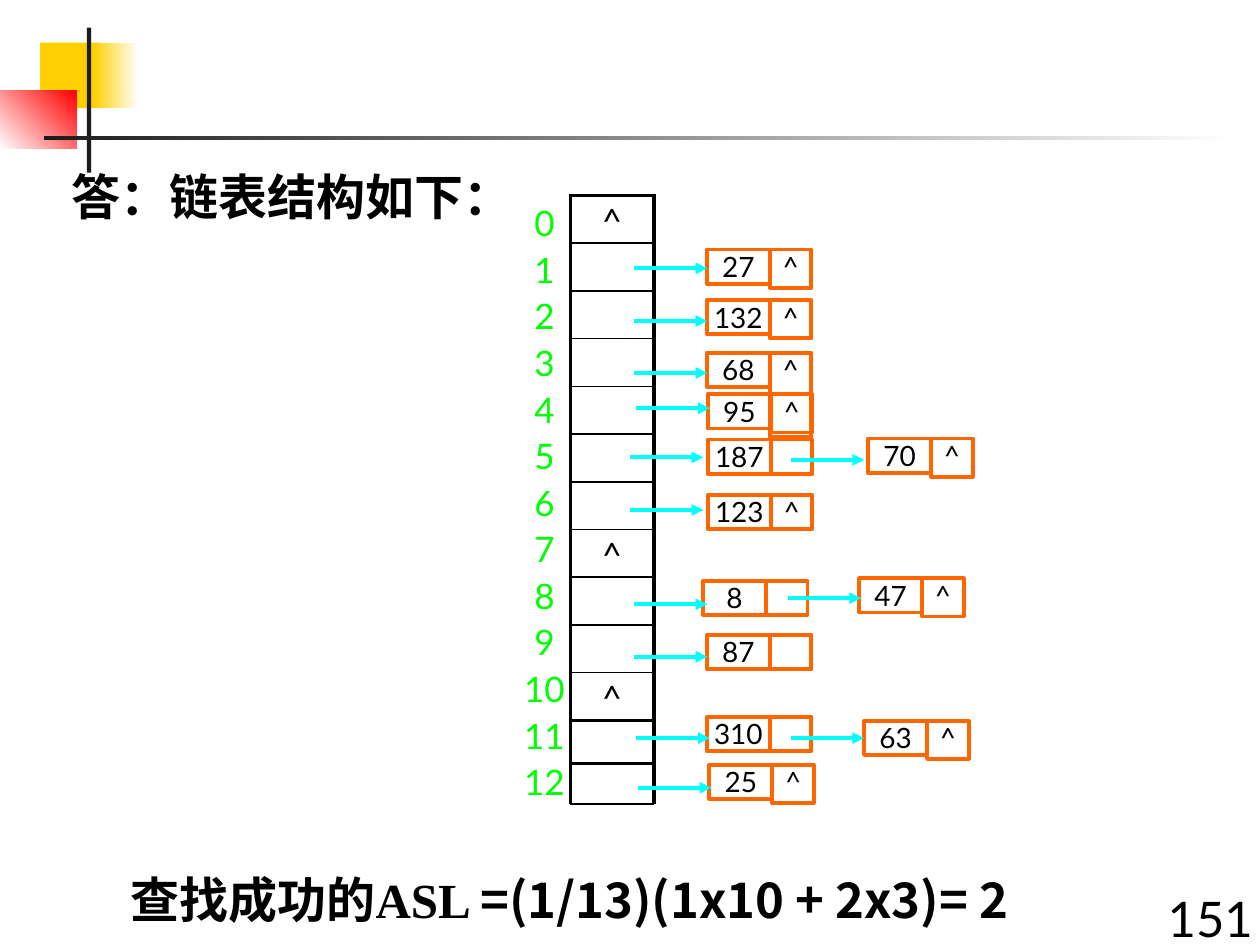
"""Build the slide showing a chained hash table and its average search length."""
import lxml.etree
import pptx
import pptx.dml.color
import pptx.enum.shapes
import pptx.enum.text
import pptx.oxml.ns
import pptx.util

Cm, Pt = pptx.util.Cm, pptx.util.Pt
RECTANGLE = pptx.enum.shapes.MSO_SHAPE.RECTANGLE
CENTER = pptx.enum.text.PP_ALIGN.CENTER
LEFT = pptx.enum.text.PP_ALIGN.LEFT
TOP = pptx.enum.text.MSO_ANCHOR.TOP
MIDDLE = pptx.enum.text.MSO_ANCHOR.MIDDLE
LATO, TIMES, NOTO = "Lato", "Times New Roman", "Noto Sans CJK SC"
BLACK, GREEN, CYAN, ORANGE = "000000", "00FF00", "00FFFF", "FF6600"

HEADING = [("答：链表结构如下：", TIMES)]
CONCLUSION = [("查找成功的ASL ", TIMES), ("=(1/13)(1x10 + 2x3)= 2", NOTO)]
PAGE = [("151", LATO)]
BUCKETS = [str(number) for number in range(13)]
EMPTY_BUCKETS = (0, 7, 10)
ORNAMENTS = [
    ((0.81, 0.86, 1.22, 1.32), ("FFCF01",), 0),
    ((1.88, 0.86, 0.91, 1.32), ("FFCF01", "FFFFFF"), 0),
    ((0, 1.83, 1.55, 1.17), ("FFFFFF", "FF0000"), 45),
    ((1.75, 0.56, 0.09, 2.92), ("1C1C1C",), 0),
    ((0.89, 2.74, 24, 0.09), ("1C1C1C", "FFFFFF"), 0),
]
SHORT, TALL, LONG = 0.69, 0.77, 1.7
NODE_FIELDS = ("key", "link", "left", "top", "link_height", "arrow_left", "arrow_top")
NODES = [
    ("27", "^", 14.25, 5.03, TALL, 12.78, 5.41),
    ("132", "^", 14.25, 6.05, TALL, 12.78, 6.47),
    ("68", "^", 14.25, 7.11, LONG, 12.78, 7.52),
    ("95", "^", 14.27, 7.95, TALL, 12.83, 8.23),
    ("187", "", 14.27, 8.86, SHORT, 12.7, 9.22),
    ("70", "^", 17.5, 8.84, TALL, 15.94, 9.27),
    ("123", "^", 14.27, 9.98, SHORT, 12.7, 10.28),
    ("8", "", 14.17, 11.71, SHORT, 12.78, 12.18),
    ("47", "^", 17.32, 11.66, TALL, 15.88, 12.06),
    ("87", "", 14.25, 12.8, SHORT, 12.78, 13.24),
    ("310", "", 14.25, 14.45, SHORT, 12.83, 14.88),
    ("63", "^", 17.42, 14.53, TALL, 15.94, 14.88),
    ("25", "^", 14.3, 15.42, TALL, 12.86, 15.88),
]
KEY_WIDTH, LINK_WIDTH, ARROW_LENGTH = 1.27, 0.84, 1.48
ARRAY_LEFT, ARRAY_TOP, ARRAY_WIDTH, ARRAY_HEIGHT = 11.5, 3.94, 1.68, 10.59
ARRAY_ROWS = 11
ARRAY_RIGHT = ARRAY_LEFT + ARRAY_WIDTH
TAIL_TOP, TAIL_MIDDLE, TAIL_BOTTOM = 14.53, 15.39, 16.21
TAIL_LINES = [
    (ARRAY_LEFT, TAIL_TOP, ARRAY_LEFT, TAIL_BOTTOM, 2.25),
    (ARRAY_RIGHT, TAIL_TOP, ARRAY_RIGHT, TAIL_BOTTOM, 2.25),
    (ARRAY_LEFT, TAIL_MIDDLE, ARRAY_RIGHT, TAIL_MIDDLE, 1.5),
    (ARRAY_LEFT, TAIL_BOTTOM, ARRAY_RIGHT, TAIL_BOTTOM, 1.5),
]


def color(value):
    return pptx.dml.color.RGBColor.from_string(value)


def add_xml(parent, tag, **attributes):
    return lxml.etree.SubElement(parent, pptx.oxml.ns.qn(tag), attributes)


def place(part, left, top, width, height):
    part.left, part.top = Cm(left), Cm(top)
    part.width, part.height = Cm(width), Cm(height)


def prepare(frame, anchor=TOP, margin=None):
    frame.word_wrap = True
    frame.auto_size = pptx.enum.text.MSO_AUTO_SIZE.NONE
    frame.vertical_anchor = anchor
    if margin is not None:
        frame.margin_left = frame.margin_right = Cm(margin)
        frame.margin_top = frame.margin_bottom = Cm(margin)


def write(paragraph, pieces, size, ink=BLACK, bold=False, align=LEFT):
    paragraph.alignment = align
    for text, face in pieces:
        run = paragraph.add_run()
        run.text = text
        run.font.size, run.font.bold = Pt(size), bold
        run.font.name = face
        run.font.color.rgb = color(ink)
        add_xml(run.font._element, "a:ea", typeface=NOTO)


def add_line(slide, left, top, right, bottom, ink, width, arrow=False):
    line = slide.shapes.add_connector(
        pptx.enum.shapes.MSO_CONNECTOR.STRAIGHT, Cm(left), Cm(top), Cm(right), Cm(bottom))
    line.line.color.rgb = color(ink)
    line.line.width = Pt(width)
    if arrow:
        add_xml(line.line._get_or_add_ln(), "a:tailEnd", type="triangle")
    add_xml(line._element.spPr, "a:effectLst")


def add_ornament(slide, box, inks, angle):
    ornament = slide.shapes.add_shape(RECTANGLE, *map(Cm, box))
    ornament.shadow.inherit = False
    ornament.line.fill.background()
    if len(inks) == 1:
        ornament.fill.solid()
        ornament.fill.fore_color.rgb = color(inks[0])
        return
    ornament.fill.gradient()
    ornament.fill.gradient_angle = angle
    for stop, ink in zip(ornament.fill.gradient_stops, inks):
        stop.color.rgb = color(ink)


def add_box(group, text, left, top, width, height):
    box = group.shapes.add_shape(RECTANGLE, Cm(left), Cm(top), Cm(width), Cm(height))
    box.shadow.inherit = False
    box.fill.background()
    box.line.color.rgb = color(ORANGE)
    box.line.width = Pt(2.25)
    if text:
        prepare(box.text_frame, margin=0)
        write(box.text_frame.paragraphs[0], [(text, LATO)], 16, align=CENTER)


def add_node(slide, key, link, left, top, link_height, arrow_left, arrow_top):
    node = slide.shapes.add_group_shape()
    add_box(node, key, left, top, KEY_WIDTH, SHORT)
    add_box(node, link, left + KEY_WIDTH, top, LINK_WIDTH, link_height)
    add_line(slide, arrow_left, arrow_top, arrow_left + ARROW_LENGTH, arrow_top, CYAN, 2.25, True)


def add_border(cell, side, width):
    border = add_xml(cell._tc.get_or_add_tcPr(), f"a:ln{side}", w=str(Pt(width)))
    add_xml(add_xml(border, "a:solidFill"), "a:srgbClr", val=BLACK)


def add_array(slide):
    array = slide.shapes.add_table(
        ARRAY_ROWS, 1, Cm(ARRAY_LEFT), Cm(ARRAY_TOP), Cm(ARRAY_WIDTH), Cm(ARRAY_HEIGHT)).table
    array.first_row = array.horz_banding = False
    for index in range(ARRAY_ROWS):
        cell = array.cell(index, 0)
        cell.margin_top = cell.margin_bottom = 0
        add_border(cell, "L", 2.25)
        add_border(cell, "R", 2.25)
        add_border(cell, "T", 2.25 if index == 0 else 1)
        add_border(cell, "B", 2.25 if index == ARRAY_ROWS - 1 else 1)
        cell.fill.background()
        slot = cell.text_frame.paragraphs[0]
        slot.font.size = Pt(16)
        if index in EMPTY_BUCKETS:
            slot.line_spacing = 1.1
            write(slot, [("^", LATO)], 20, align=CENTER)


def add_bucket_numbers(numbers):
    place(numbers, 10.24, 3.94, 1.47, 12.7)
    frame = numbers.text_frame
    prepare(frame)
    for index, bucket in enumerate(BUCKETS):
        label = frame.add_paragraph() if index else frame.paragraphs[0]
        properties = label._p.get_or_add_pPr()
        properties.set("marL", "0")
        properties.set("indent", "0")
        add_xml(properties, "a:buNone")
        label.space_before = Pt(2.6 if index else 0)
        write(label, [(bucket, LATO)], 20, GREEN, align=CENTER)


def add_caption(slide, pieces, box, bold, anchor):
    caption = slide.shapes.add_textbox(*map(Cm, box))
    prepare(caption.text_frame, anchor)
    caption.text_frame.margin_right = 0
    write(caption.text_frame.paragraphs[0], pieces, 28, bold=bold)


def main():
    deck = pptx.Presentation()
    deck.slide_width, deck.slide_height = Cm(25.4), Cm(19.05)
    slide = deck.slides.add_slide(deck.slide_layouts[1])
    heading, numbers = slide.placeholders
    for ornament in ORNAMENTS:
        add_ornament(slide, *ornament)
    place(heading, 1.19, 3.23, 23.01, 1.45)
    prepare(heading.text_frame, MIDDLE)
    write(heading.text_frame.paragraphs[0], HEADING, 28, bold=True)
    add_bucket_numbers(numbers)
    add_array(slide)
    for tail_line in TAIL_LINES:
        add_line(slide, *tail_line[:4], BLACK, tail_line[4])
    for node in NODES:
        add_node(slide, **dict(zip(NODE_FIELDS, node)))
    add_caption(slide, CONCLUSION, (2.39, 17.4, 22.5, 1.45), True, MIDDLE)
    add_caption(slide, PAGE, (23.29, 17.78, 2.11, 1.27), False, TOP)
    deck.save("out.pptx")


if __name__ == "__main__":
    main()
